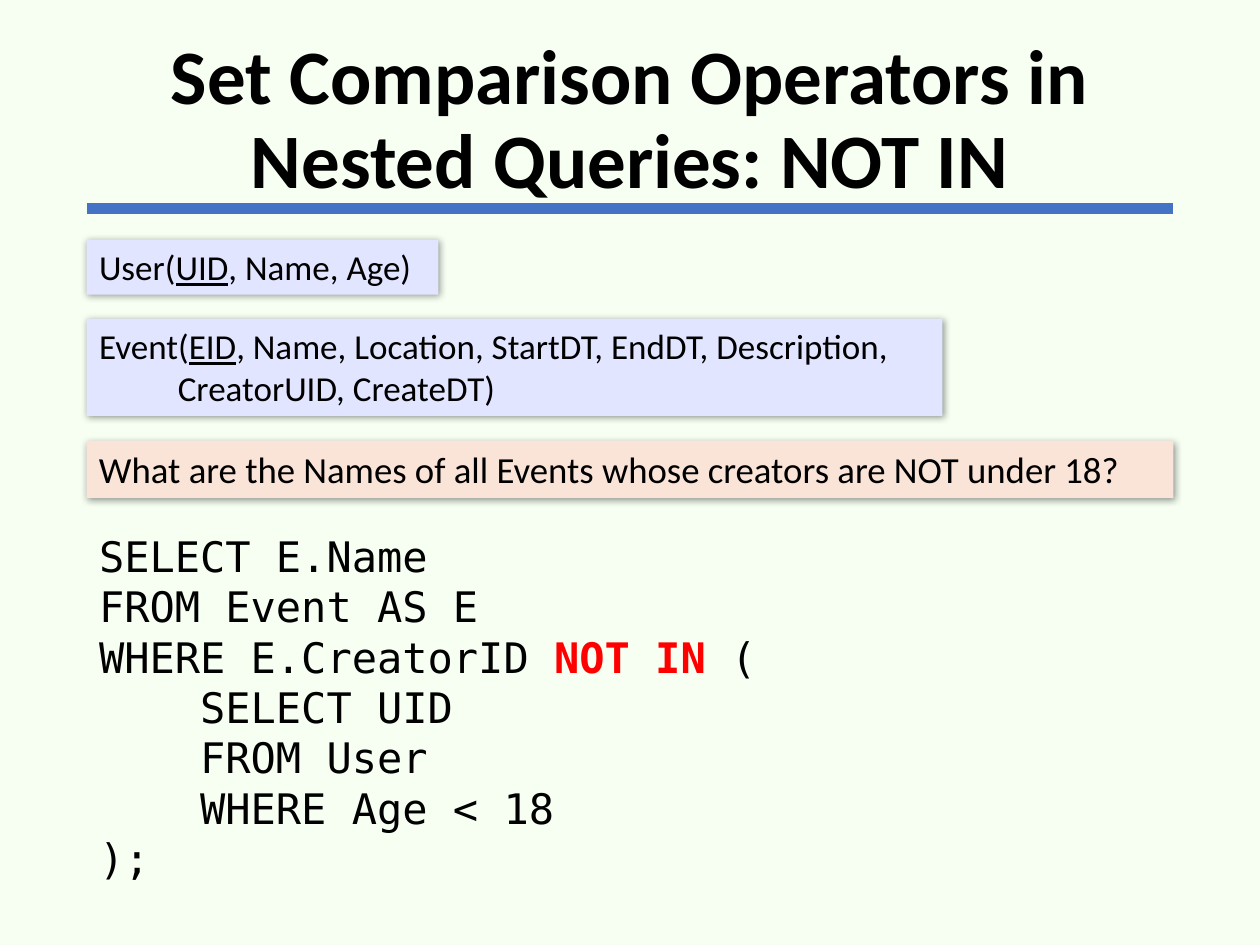
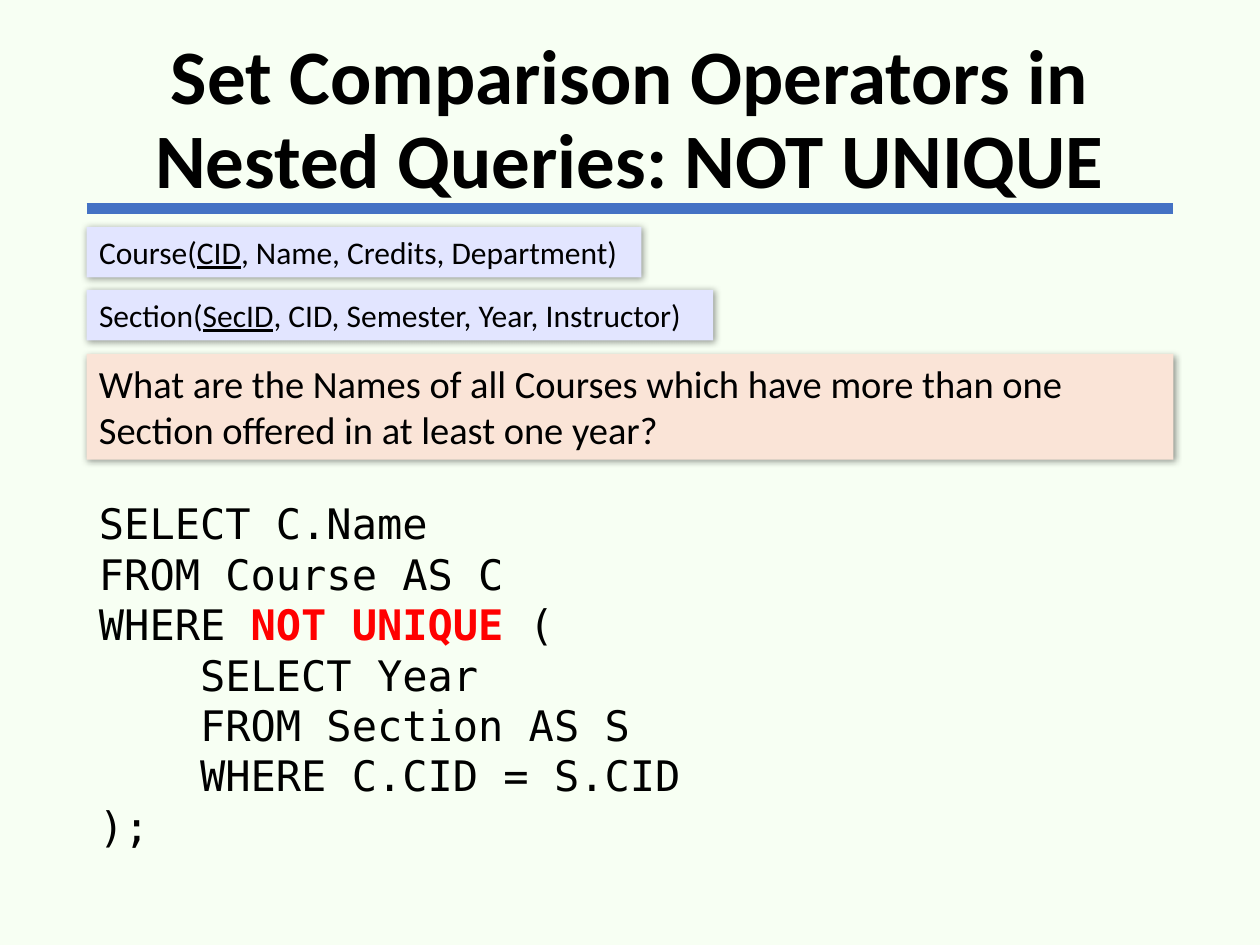
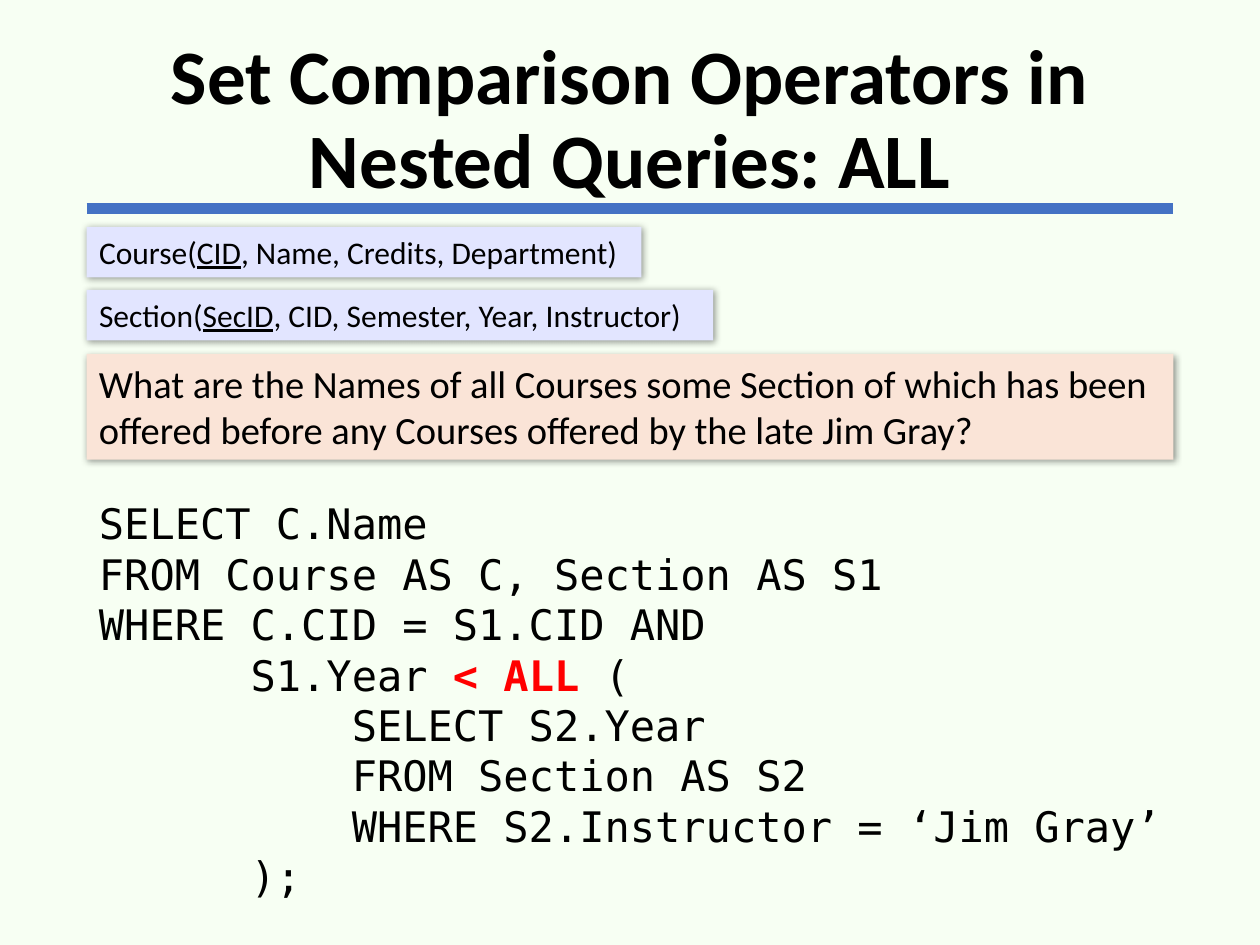
"""Build three slides on set comparison operators in nested SQL queries."""
from lxml import etree
from pptx import Presentation
from pptx.dml.color import RGBColor
from pptx.enum.shapes import MSO_CONNECTOR, MSO_SHAPE
from pptx.enum.text import MSO_ANCHOR, MSO_AUTO_SIZE, PP_ALIGN
from pptx.oxml import parse_xml
from pptx.oxml.ns import qn
from pptx.util import Pt

BACKGROUND, RULE, INK, KEYWORD = "F7FFF3", "4472C4", "000000", "FF0000"
SCHEMA_FILL, QUESTION_FILL = "E2E5FF", "FAE4D7"
BODY_FONT, CODE_FONT = "Calibri", "DejaVu Sans Mono"
LEFT, WIDTH = 49.5, 621
LINE_HEIGHT, INSETS = 1.21, 7.2
CONTINUATION_INDENT = 45
SHADOW = (
    '<a:effectLst xmlns:a="http://schemas.openxmlformats.org/drawingml/2006/main">'
    '<a:outerShdw blurRad="50800" dist="12700" dir="2700000" algn="tl" rotWithShape="0">'
    '<a:srgbClr val="000000"><a:alpha val="40000"/></a:srgbClr>'
    "</a:outerShdw></a:effectLst>"
)


def paint(color_format, hex_color):
    """Give a fill or font colour a hex value."""
    color_format.rgb = RGBColor.from_string(hex_color)


def add_block(slide, top, width, lines, size, fill=None, rows=None):
    """Add a filled box, or a code block without fill; asterisks enclose emphasis."""
    height = (rows or len(lines)) * size * LINE_HEIGHT + INSETS
    place = Pt(LEFT), Pt(top), Pt(width), Pt(height)
    if fill:
        block = slide.shapes.add_shape(MSO_SHAPE.RECTANGLE, *place)
        block.fill.solid()
        paint(block.fill.fore_color, fill)
        block.line.fill.background()
        block.element.spPr.append(parse_xml(SHADOW))
    else:
        block = slide.shapes.add_textbox(*place)
    frame = block.text_frame
    frame.word_wrap = True
    frame.auto_size = MSO_AUTO_SIZE.SHAPE_TO_FIT_TEXT
    frame.vertical_anchor = MSO_ANCHOR.TOP
    for number, line in enumerate(lines):
        paragraph = frame.paragraphs[0] if number == 0 else frame.add_paragraph()
        paragraph.alignment = PP_ALIGN.LEFT
        if fill and number:
            paragraph._p.get_or_add_pPr().set("marL", str(Pt(CONTINUATION_INDENT)))
        for part, text in enumerate(line.split("*")):
            if not text:
                continue
            emphasized = part % 2 == 1
            run = paragraph.add_run()
            run.text = text
            run.font.size = Pt(size)
            run.font.name = BODY_FONT if fill else CODE_FONT
            run.font.underline = emphasized and fill is not None
            run.font.bold = emphasized and fill is None
            paint(run.font.color, KEYWORD if run.font.bold else INK)


course_schemas = [
    (129.6, 317, ["Course(*CID*, Name, Credits, Department)"]),
    (165.6, 358, ["Section(*SecID*, CID, Semester, Year, Instructor)"]),
]

lessons = [
    {
        "operator": "NOT IN",
        "schema_size": 20,
        "schemas": [
            (137, 201, ["User(*UID*, Name, Age)"]),
            (182, 489, ["Event(*EID*, Name, Location, StartDT, EndDT, Description,",
                        "CreatorUID, CreateDT)"]),
        ],
        "question": (252, 21, 1, "What are the Names of all Events whose creators are NOT under 18?"),
        "query_place": (299.5, 400),
        "query": [
            "SELECT E.Name",
            "FROM Event AS E",
            "WHERE E.CreatorID *NOT IN* (",
            "    SELECT UID",
            "    FROM User",
            "    WHERE Age < 18",
            ");",
        ],
    },
    {
        "operator": "NOT UNIQUE",
        "schema_size": 18,
        "schemas": course_schemas,
        "question": (202.3, 22, 2, "What are the Names of all Courses which have more than one "
                                   "Section offered in at least one year?"),
        "query_place": (281, WIDTH),
        "query": [
            "SELECT C.Name",
            "FROM Course AS C",
            "WHERE *NOT UNIQUE* (",
            "    SELECT Year",
            "    FROM Section AS S",
            "    WHERE C.CID = S.CID",
            ");",
        ],
    },
    {
        "operator": "ALL",
        "schema_size": 18,
        "schemas": course_schemas,
        "question": (202.3, 22, 2, "What are the Names of all Courses some Section of which has been "
                                   "offered before any Courses offered by the late Jim Gray?"),
        "query_place": (281, WIDTH),
        "query": [
            "SELECT C.Name",
            "FROM Course AS C, Section AS S1",
            "WHERE C.CID = S1.CID AND",
            "      S1.Year *< ALL *(",
            "          SELECT S2.Year",
            "          FROM Section AS S2",
            "          WHERE S2.Instructor = ‘Jim Gray’",
            "      );",
        ],
    },
]

deck = Presentation()
deck.slide_width, deck.slide_height = Pt(720), Pt(540)
backdrop = deck.slide_master.background.fill
backdrop.solid()
paint(backdrop.fore_color, BACKGROUND)

for lesson in lessons:
    slide = deck.slides.add_slide(deck.slide_layouts[5])

    title_rule = slide.shapes.add_connector(
        MSO_CONNECTOR.STRAIGHT, Pt(LEFT), Pt(119.3), Pt(LEFT + WIDTH), Pt(119.3))
    title_rule.line.width = Pt(6)
    paint(title_rule.line.color, RULE)
    etree.SubElement(title_rule.element.spPr, qn("a:effectLst"))

    title = slide.shapes.title
    title.left, title.top, title.width, title.height = Pt(LEFT), Pt(17.25), Pt(WIDTH), Pt(104.4)
    title.text_frame.word_wrap = True
    title.text_frame.auto_size = MSO_AUTO_SIZE.NONE
    title.text_frame.vertical_anchor = MSO_ANCHOR.MIDDLE
    heading = title.text_frame.paragraphs[0]
    heading.alignment = PP_ALIGN.CENTER
    heading.line_spacing = 0.9
    heading_run = heading.add_run()
    heading_run.text = f"Set Comparison Operators in Nested Queries: {lesson['operator']}"
    heading_run.font.size = Pt(44)
    heading_run.font.name = BODY_FONT
    heading_run.font.bold = True
    paint(heading_run.font.color, INK)

    for top, width, schema in lesson["schemas"]:
        add_block(slide, top, width, schema, lesson["schema_size"], SCHEMA_FILL)
    top, size, rows, question = lesson["question"]
    add_block(slide, top, WIDTH, [question], size, QUESTION_FILL, rows)
    top, width = lesson["query_place"]
    add_block(slide, top, width, lesson["query"], 24)

deck.save("out.pptx")
